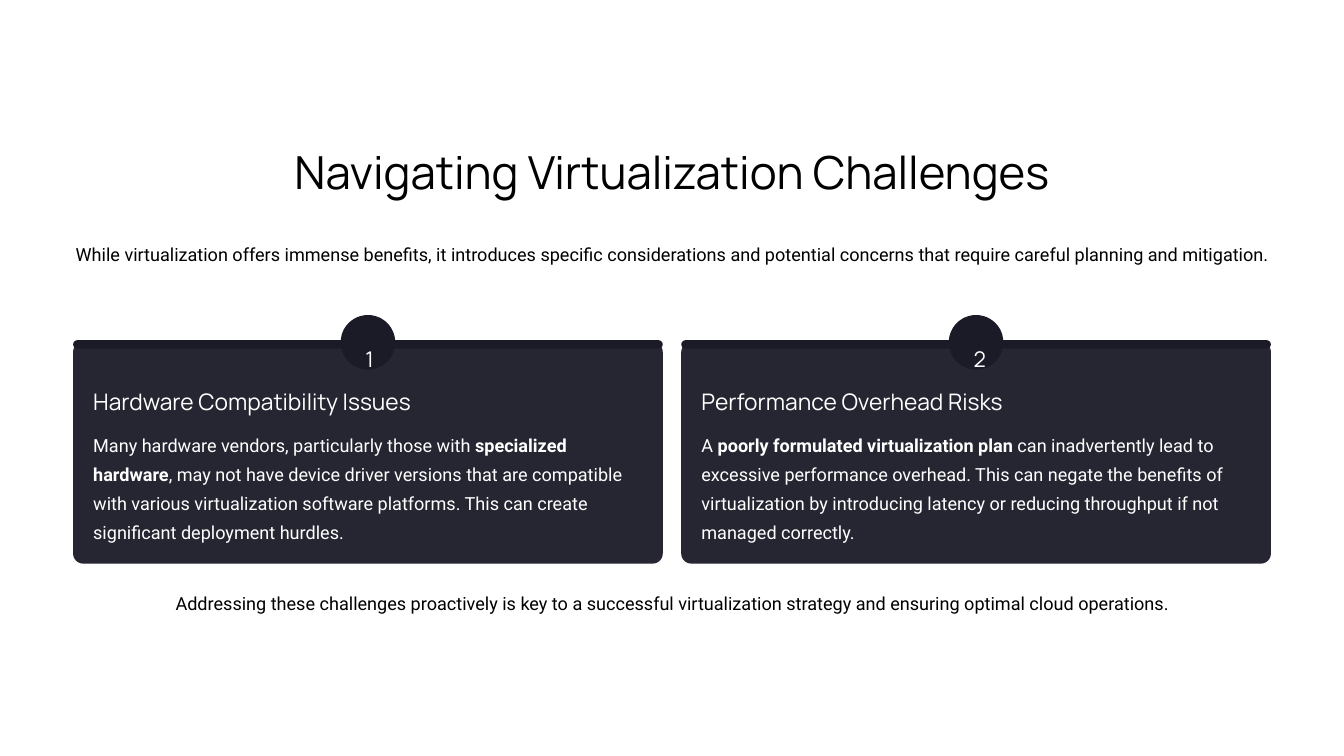
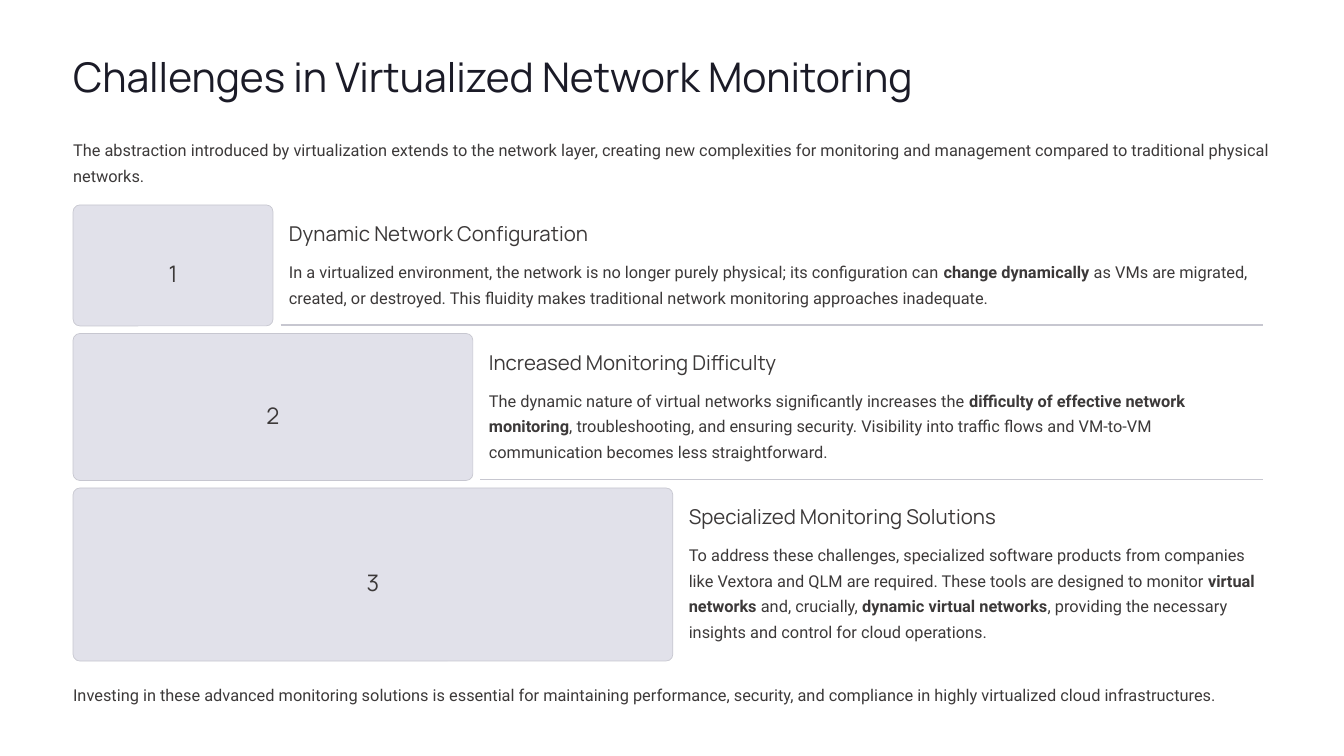
from dataclasses import dataclass

from lxml.etree import SubElement
from pptx import Presentation
from pptx.dml.color import RGBColor
from pptx.enum.shapes import MSO_CONNECTOR, MSO_SHAPE
from pptx.enum.text import MSO_ANCHOR, MSO_AUTO_SIZE, PP_ALIGN
from pptx.oxml.ns import qn
from pptx.util import Inches, Pt


@dataclass(frozen=True)
class TextStyle:
    """Font, size, line pitch and colour of one kind of text."""
    font: str
    size: float
    pitch: float
    color: str
    align: PP_ALIGN = PP_ALIGN.LEFT


@dataclass(frozen=True)
class Theme:
    """Colours, type and margins shared by the slides."""
    ink = "1B1B27"
    block = "E1E1EA"
    edge = "C7C7D0"
    left = 0.87
    width = 14.26
    cover_title = TextStyle("Manrope", 39, 48.5, "000000", PP_ALIGN.CENTER)
    cover_text = TextStyle("Roboto", 15.5, 25, "000000", PP_ALIGN.CENTER)
    badge = TextStyle("Manrope", 18.5, 30, "FFFFFF")
    card_heading = TextStyle("Manrope", 19.5, 24, "FFFFFF")
    card_text = TextStyle("Roboto", 15.5, 25, "FFFFFF")
    title = TextStyle("Manrope", 35, 43.5, "1B1B27")
    text = TextStyle("Roboto", 14, 22, "3C3939")
    step_number = TextStyle("Manrope", 19.5, 31.5, "3C3939", PP_ALIGN.CENTER)
    step_heading = TextStyle("Manrope", 17.5, 21.5, "3C3939")


THEME = Theme()

CARDS = [
    ("Hardware Compatibility Issues",
     "Many hardware vendors, particularly those with **specialized hardware**, may not have "
     "device driver versions that are compatible with various virtualization software "
     "platforms. This can create significant deployment hurdles."),
    ("Performance Overhead Risks",
     "A **poorly formulated virtualization plan** can inadvertently lead to excessive "
     "performance overhead. This can negate the benefits of virtualization by introducing "
     "latency or reducing throughput if not managed correctly."),
]

STEPS = [
    ("Dynamic Network Configuration",
     "In a virtualized environment, the network is no longer purely physical; its "
     "configuration can **change dynamically** as VMs are migrated, created, or destroyed. "
     "This fluidity makes traditional network monitoring approaches inadequate."),
    ("Increased Monitoring Difficulty",
     "The dynamic nature of virtual networks significantly increases the **difficulty of "
     "effective network monitoring**, troubleshooting, and ensuring security. Visibility into "
     "traffic flows and VM-to-VM communication becomes less straightforward."),
    ("Specialized Monitoring Solutions",
     "To address these challenges, specialized software products from companies like Vextora "
     "and QLM are required. These tools are designed to monitor **virtual networks** and, "
     "crucially, **dynamic virtual networks**, providing the necessary insights and control "
     "for cloud operations."),
]


def write(frame, text, style, anchor=MSO_ANCHOR.TOP, inset_left=0, inset_top=0):
    """Fill a text frame, with **marked** passages in bold."""
    frame.word_wrap = True
    frame.auto_size = MSO_AUTO_SIZE.NONE
    frame.vertical_anchor = anchor
    frame.margin_left, frame.margin_top = Inches(inset_left), Inches(inset_top)
    frame.margin_right = frame.margin_bottom = 0
    paragraph = frame.paragraphs[0]
    paragraph.alignment = style.align
    paragraph.line_spacing = Pt(style.pitch)
    paragraph.font.name = style.font
    paragraph.font.size = Pt(style.size)
    paragraph.font.color.rgb = RGBColor.from_string(style.color)
    for index, passage in enumerate(text.split("**")):
        run = paragraph.add_run()
        run.text = passage
        if index % 2:
            run.font.bold = True


def add_text(slide, box, text, style):
    """Place a text box."""
    label = slide.shapes.add_textbox(*map(Inches, box))
    write(label.text_frame, text, style)


def add_panel(slide, box, fill, radius=None, edge=None, opacity=None):
    """Place a filled rounded rectangle, or an oval when no radius is given."""
    preset = MSO_SHAPE.OVAL if radius is None else MSO_SHAPE.ROUNDED_RECTANGLE
    panel = slide.shapes.add_shape(preset, *map(Inches, box))
    panel.shadow.inherit = False
    if radius is not None:
        panel.adjustments[0] = radius / min(box[2:])
    panel.fill.solid()
    panel.fill.fore_color.rgb = RGBColor.from_string(fill)
    if opacity is not None:
        color = panel._element.spPr.find(qn("a:solidFill")).find(qn("a:srgbClr"))
        SubElement(color, qn("a:alpha"), val=str(opacity * 1000))
    if edge:
        panel.line.color.rgb = RGBColor.from_string(edge)
        panel.line.width = Pt(0.6)
    else:
        panel.line.fill.background()
    return panel


def add_divider(slide, left, right, top):
    """Draw a thin horizontal rule."""
    ends = map(Inches, (left, top, right, top))
    divider = slide.shapes.add_connector(MSO_CONNECTOR.STRAIGHT, *ends)
    divider.line.color.rgb = RGBColor.from_string(THEME.edge)
    divider.line.width = Pt(1)
    SubElement(divider._element.spPr, qn("a:effectLst"))


def add_titled_slide(deck, title, top, height, style):
    """Add a slide with its title placed and formatted."""
    slide = deck.slides.add_slide(deck.slide_layouts[5])
    heading = slide.shapes.title
    heading.left, heading.top = Inches(THEME.left), Inches(top)
    heading.width, heading.height = Inches(THEME.width), Inches(height)
    write(heading.text_frame, title, style)
    return slide


def add_card(slide, box, number, heading, text):
    """Draw a dark card with a top bar and a numbered badge."""
    left, top, width, height = box
    pad, badge_size = 0.24, 0.65
    add_panel(slide, box, THEME.ink, radius=0.12, opacity=95)
    add_panel(slide, (left, top - 0.02, width, 0.1), THEME.ink, radius=0.05)
    badge_left = left + (width - badge_size) / 2
    badge = add_panel(slide, (badge_left, top - 0.32, badge_size, badge_size), THEME.ink)
    write(badge.text_frame, str(number), THEME.badge, inset_left=0.2, inset_top=0.16)
    inner = width - 2 * pad
    add_text(slide, (left + pad, top + 0.54, inner, 0.34), heading, THEME.card_heading)
    add_text(slide, (left + pad, top + 1.01, inner, 1.39), text, THEME.card_text)


def add_step(slide, box, block_width, number, heading, text):
    """Draw a numbered block with its text to the right."""
    left, top, width, height = box
    block = add_panel(slide, (left, top, block_width, height), THEME.block,
                      radius=0.08, edge=THEME.edge)
    write(block.text_frame, str(number), THEME.step_number, MSO_ANCHOR.MIDDLE, inset_top=0.08)
    text_left = left + block_width + 0.19
    text_width = left + width - 0.19 - text_left
    add_text(slide, (text_left, top + 0.19, text_width, 0.3), heading, THEME.step_heading)
    add_text(slide, (text_left, top + 0.61, text_width, height - 0.82), text, THEME.text)


def build_cards_slide(deck):
    """Build the slide with two challenge cards."""
    slide = add_titled_slide(deck, "Navigating Virtualization Challenges", 1.69, 0.68,
                             THEME.cover_title)
    add_text(slide, (THEME.left, 2.81, THEME.width, 0.69),
             "While virtualization offers immense benefits, it introduces specific considerations "
             "and potential concerns that require careful planning and mitigation.",
             THEME.cover_text)
    gap = 0.22
    card_width = (THEME.width - gap) / len(CARDS)
    for index, (heading, text) in enumerate(CARDS):
        left = THEME.left + index * (card_width + gap)
        add_card(slide, (left, 4.07, card_width, 2.64), index + 1, heading, text)
    add_text(slide, (THEME.left, 6.96, THEME.width, 0.35),
             "Addressing these challenges proactively is key to a successful virtualization "
             "strategy and ensuring optimal cloud operations.", THEME.cover_text)


def build_steps_slide(deck):
    """Build the slide with three widening steps."""
    slide = add_titled_slide(deck, "Challenges in Virtualized Network Monitoring", 0.6, 0.61,
                             THEME.title)
    add_text(slide, (THEME.left, 1.6, THEME.width, 0.62),
             "The abstraction introduced by virtualization extends to the network layer, creating "
             "new complexities for monitoring and management compared to traditional physical "
             "networks.", THEME.text)
    top, gap, block_unit = 2.44, 0.09, 2.38
    for index, (heading, text) in enumerate(STEPS):
        height = 1.44 + 0.31 * index
        block_width = block_unit * (index + 1)
        add_step(slide, (THEME.left, top, THEME.width, height), block_width,
                 index + 1, heading, text)
        if index < len(STEPS) - 1:
            add_divider(slide, THEME.left + block_width + gap,
                        THEME.left + THEME.width - gap, top + height - 0.01)
        top += height + gap
    add_text(slide, (THEME.left, 8.09, THEME.width, 0.31),
             "Investing in these advanced monitoring solutions is essential for maintaining "
             "performance, security, and compliance in highly virtualized cloud infrastructures.",
             THEME.text)


def main():
    """Build and save the deck."""
    deck = Presentation()
    deck.slide_width, deck.slide_height = Inches(16), Inches(9)
    build_cards_slide(deck)
    build_steps_slide(deck)
    deck.save("out.pptx")


if __name__ == "__main__":
    main()
